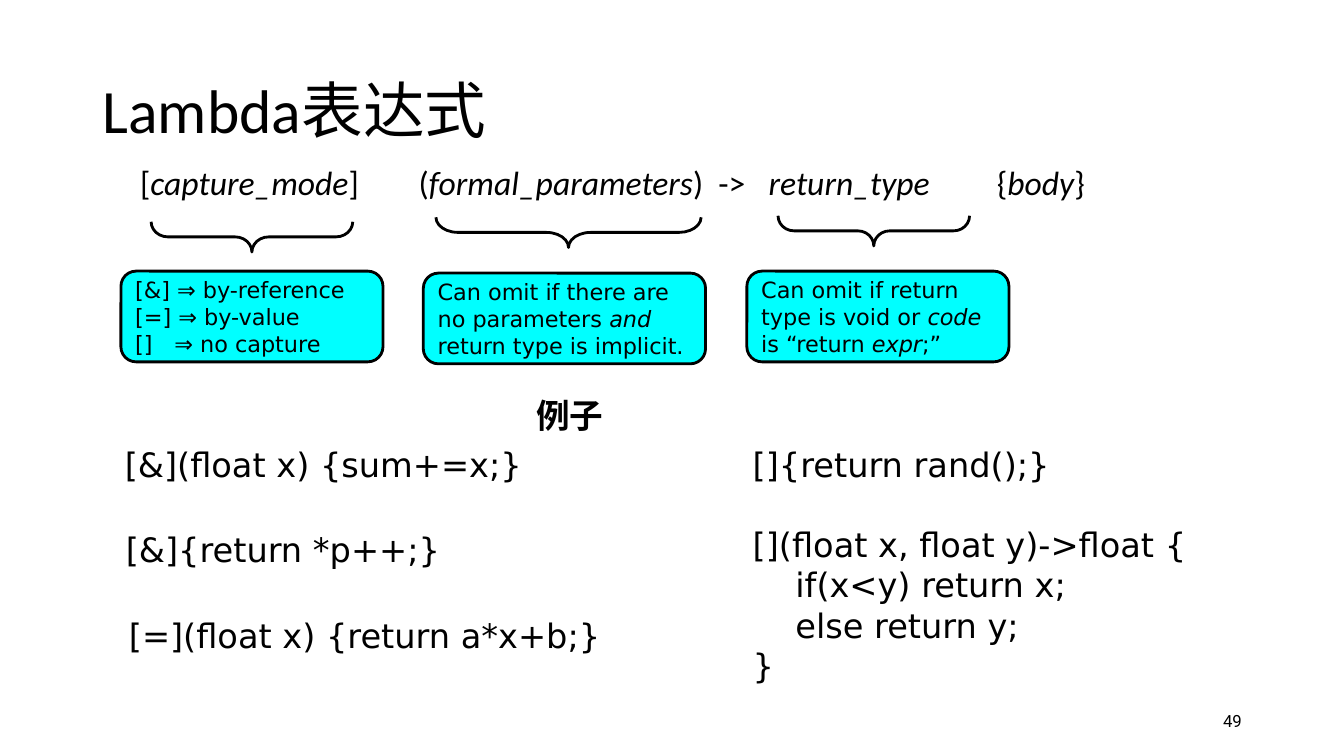
from lxml import etree
from pptx import Presentation
from pptx.dml.color import RGBColor
from pptx.enum import shapes, text
from pptx.oxml import ns
from pptx.util import Pt

BLACK = RGBColor(0, 0, 0)
CYAN = RGBColor(0, 255, 255)
SANS, BODY, NUMBER = "DejaVu Sans", "Calibri", "Roboto"

TITLE = "Lambda表达式"
PAGE = "49"
EXAMPLES = "例子"
# SYNTAX_PLACEHOLDER
SYNTAX = ["[", "capture_mode", "]\t(", "formal_parameters", ")\t->\t",
          "return_type", "\t{", "body", "}"]
SYNTAX_TABS = [199, 413, 449, 612]
CAPTURE_TABS = [28]

# Each line alternates upright and italic pieces.
CALLOUTS = [
    dict(left=86.4, top=193.7, width=187.2, tabs=CAPTURE_TABS,
         lines=[["[&] ⇒ by-reference"], ["[=] ⇒ by-value"], ["[]\t⇒ no capture"]],
         brace=(180, 169.2, 144, 0.555)),
    dict(left=302.4, top=195.1, width=201.6, tabs=[],
         lines=[["Can omit if there are no parameters ", "and",
                 " return type is implicit."]],
         brace=(406.1, 166, 189.4, 0.73)),
    dict(left=533.5, top=193.7, width=187.2, tabs=[],
         lines=[["Can omit if return type is void or ", "code ",
                 "is “return ", "expr", ";”"]],
         brace=(624.2, 164.9, 136.8, 0.527)),
]
CALLOUT_HEIGHT = 64.8
BRACE_DEPTH = 21.6

SNIPPETS = [
    (82.1, 313.2, 347.8, ["[&](float x) {sum+=x;}"]),
    (82.8, 374.4, 290.9, ["[&]{return *p++;}"]),
    (85, 435.6, 370.1, ["[=](float x) {return a*x+b;}"]),
    (530.6, 313.2, 239, ["[]{return rand();}"]),
    (530.6, 370.8, 339.1, ["[](float x, float y)->float {",
                           "    if(x<y) return x;",
                           "    else return y;",
                           "}"]),
]
SNIPPET_LINE = 29.2


def set_tabs(paragraph, stops):
    if stops:
        tabs = etree.SubElement(paragraph._p.get_or_add_pPr(), ns.qn("a:tabLst"))
        for stop in stops:
            etree.SubElement(tabs, ns.qn("a:tab"), pos=str(Pt(stop)), algn="l")


def write(shape, lines, size, face, tabs=(), anchor=text.MSO_ANCHOR.TOP,
          align=text.PP_ALIGN.LEFT, spacing=None, bold=False):
    frame = shape.text_frame
    frame.word_wrap = True
    frame.vertical_anchor = anchor
    for index, pieces in enumerate(lines):
        paragraph = frame.paragraphs[0] if index == 0 else frame.add_paragraph()
        paragraph.alignment = align
        if spacing:
            paragraph.line_spacing = spacing
        set_tabs(paragraph, tabs)
        font = paragraph.font
        font.size, font.name, font.bold = Pt(size), face, bold
        font.color.rgb = BLACK
        for position, piece in enumerate(pieces):
            run = paragraph.add_run()
            run.text = piece
            if position % 2:
                run.font.italic = True


def add_text(left, top, width, height, lines, size, face, **style):
    box = slide.shapes.add_textbox(Pt(left), Pt(top), Pt(width), Pt(height))
    write(box, lines, size, face, **style)
    return box


def add_outline(kind, left, top, width, height, rounding):
    shape = slide.shapes.add_shape(kind, Pt(left), Pt(top), Pt(width), Pt(height))
    shape.shadow.inherit = False
    shape.adjustments[0] = rounding
    shape.line.color.rgb = BLACK
    shape.line.width = Pt(2)
    return shape


deck = Presentation()
deck.slide_width, deck.slide_height = Pt(960), Pt(540)
slide = deck.slides.add_slide(deck.slide_layouts[6])

add_text(66.2, 28.8, 828, 104.4, [[TITLE]], 44, BODY,
         anchor=text.MSO_ANCHOR.MIDDLE, spacing=0.9)
add_text(678.2, 500.4, 216, 28.8, [[PAGE]], 12, NUMBER,
         anchor=text.MSO_ANCHOR.MIDDLE, align=text.PP_ALIGN.RIGHT)
syntax = add_text(82.1, 115.2, 731.5, 54, [SYNTAX], 24, BODY,
                  tabs=SYNTAX_TABS, spacing=0.9)
syntax.text_frame.margin_left = Pt(18)
add_text(375.8, 278.6, 128.2, 36, [[EXAMPLES]], 24, SANS, bold=True)

for left, top, width, code in SNIPPETS:
    add_text(left, top, width, 7.2 + SNIPPET_LINE * len(code),
             [[line] for line in code], 24, SANS)

for callout in CALLOUTS:
    center, middle, span, curl = callout["brace"]
    brace = add_outline(shapes.MSO_SHAPE.LEFT_BRACE, center - BRACE_DEPTH / 2,
                        middle - span / 2, BRACE_DEPTH, span, curl)
    brace.rotation = 270
    brace.fill.background()
    note = add_outline(shapes.MSO_SHAPE.ROUNDED_RECTANGLE, callout["left"],
                       callout["top"], callout["width"], CALLOUT_HEIGHT, 0.167)
    note.fill.solid()
    note.fill.fore_color.rgb = CYAN
    write(note, callout["lines"], 16, SANS, tabs=callout["tabs"],
          anchor=text.MSO_ANCHOR.MIDDLE)

deck.save("out.pptx")
